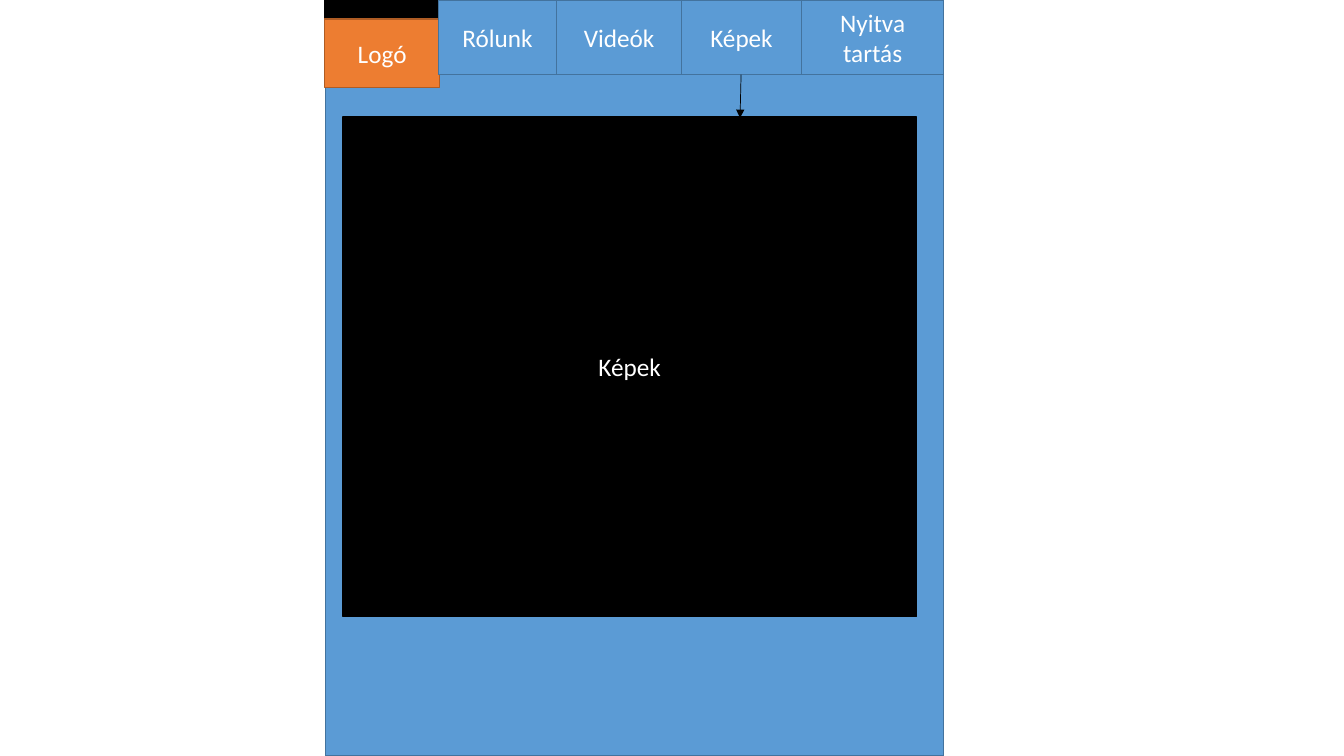
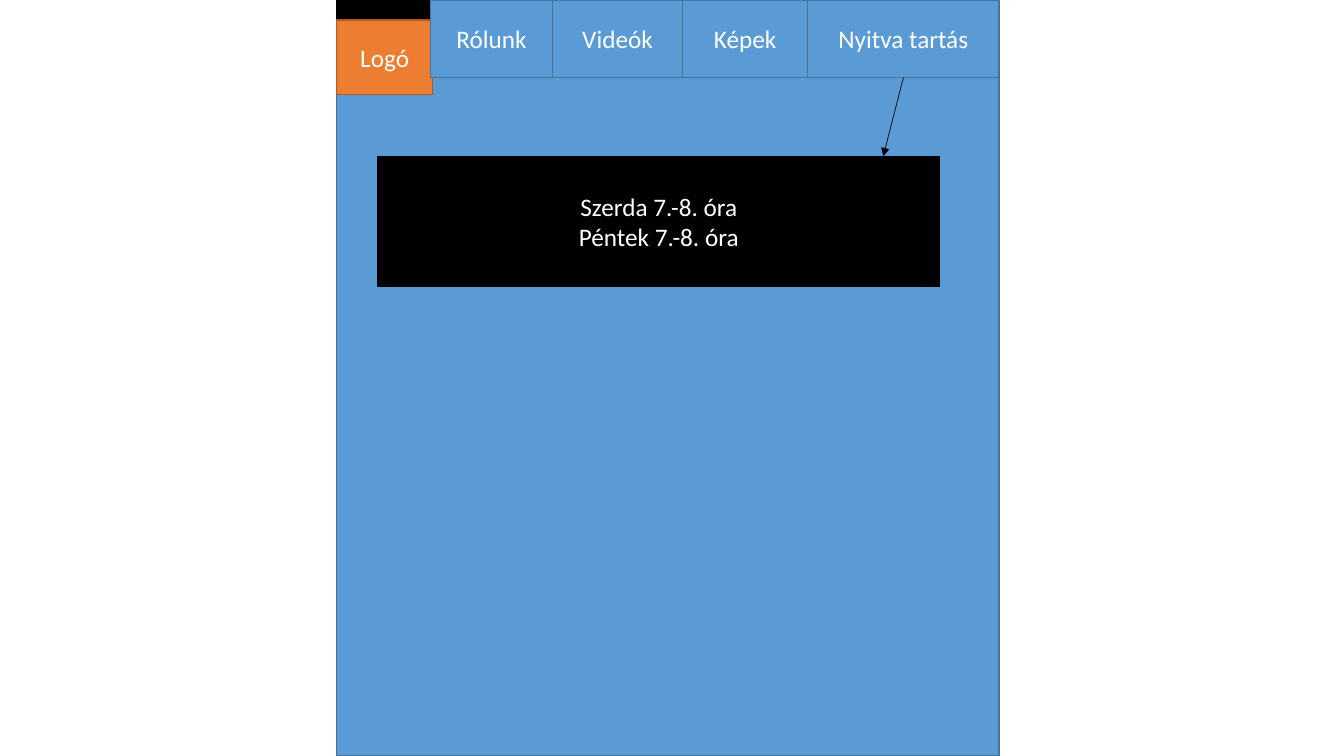
from dataclasses import dataclass
from itertools import pairwise

import pptx
import pptx.dml.color
import pptx.enum.shapes
import pptx.enum.text
import pptx.oxml.ns
import pptx.presentation
import pptx.shapes.base
import pptx.slide
import pptx.util
from lxml import etree

BLUE = "5B9BD5"
BLUE_EDGE = "43739E"
ORANGE = "ED7D31"
ORANGE_EDGE = "AF5C24"
BLACK = "000000"
WHITE = "FFFFFF"
FONT = "Calibri"
MENU_LABELS = ("Rólunk", "Videók", "Képek", "Nyitva tartás")


@dataclass(frozen=True)
class Box:
    left: float
    top: float
    width: float
    height: float


@dataclass(frozen=True)
class Arrow:
    start: tuple[float, float]
    end: tuple[float, float]


@dataclass(frozen=True)
class Page:
    body: Box
    header: Box
    logo: Box
    menu_edges: tuple[float, ...]
    content: Box
    content_text: str
    arrow: Arrow


PAGES = (
    Page(
        body=Box(3.23, 0, 6.13, 7.5),
        header=Box(3.22, 0, 6.14, 0.74),
        logo=Box(3.22, 0.19, 1.14, 0.68),
        menu_edges=(4.35, 5.52, 6.76, 7.95, 9.36),
        content=Box(3.4, 1.16, 5.69, 4.96),
        content_text="Képek",
        arrow=Arrow((7.35, 0.74), (7.34, 1.17)),
    ),
    Page(
        body=Box(3.34, 0, 6.57, 7.5),
        header=Box(3.34, 0, 6.57, 0.77),
        logo=Box(3.34, 0.2, 0.95, 0.74),
        menu_edges=(4.27, 5.48, 6.77, 8.01, 9.91),
        content=Box(3.75, 1.55, 5.57, 1.29),
        content_text="Szerda 7.-8. óra\nPéntek 7.-8. óra",
        arrow=Arrow((8.96, 0.77), (8.76, 1.55)),
    ),
)


def color(value: str) -> pptx.dml.color.RGBColor:
    return pptx.dml.color.RGBColor.from_string(value)


def draw_box(slide: pptx.slide.Slide, box: Box, fill: str, edge: str, text: str = "") -> None:
    shape = slide.shapes.add_shape(
        pptx.enum.shapes.MSO_SHAPE.RECTANGLE,
        pptx.util.Inches(box.left),
        pptx.util.Inches(box.top),
        pptx.util.Inches(box.width),
        pptx.util.Inches(box.height),
    )
    shape.shadow.inherit = False
    shape.fill.solid()
    shape.fill.fore_color.rgb = color(fill)
    shape.line.color.rgb = color(edge)
    shape.line.width = pptx.util.Pt(1)
    if not text:
        return
    text_frame = shape.text_frame
    text_frame.text = text
    text_frame.word_wrap = True
    text_frame.vertical_anchor = pptx.enum.text.MSO_ANCHOR.MIDDLE
    for paragraph in text_frame.paragraphs:
        paragraph.alignment = pptx.enum.text.PP_ALIGN.CENTER
        for run in paragraph.runs:
            run.font.name = FONT
            run.font.size = pptx.util.Pt(18)
            run.font.color.rgb = color(WHITE)


def draw_arrow(slide: pptx.slide.Slide, arrow: Arrow) -> None:
    connector = slide.shapes.add_connector(
        pptx.enum.shapes.MSO_CONNECTOR.STRAIGHT,
        *(pptx.util.Inches(length) for length in arrow.start + arrow.end),
    )
    connector.line.color.rgb = color(BLACK)
    connector.line.width = pptx.util.Pt(0.5)
    properties = connector.line._get_or_add_ln()
    etree.SubElement(properties, pptx.oxml.ns.qn("a:tailEnd"), type="triangle")
    etree.SubElement(connector._element.spPr, pptx.oxml.ns.qn("a:effectLst"))


def draw_page(presentation: pptx.presentation.Presentation, page: Page) -> None:
    slide = presentation.slides.add_slide(presentation.slide_layouts[6])
    draw_box(slide, page.body, BLUE, BLUE_EDGE)
    draw_box(slide, page.header, BLACK, BLACK)
    draw_box(slide, page.logo, ORANGE, ORANGE_EDGE, "Logó")
    for label, (left, right) in zip(MENU_LABELS, pairwise(page.menu_edges)):
        button = Box(left, page.header.top, right - left, page.header.height)
        draw_box(slide, button, BLUE, BLUE_EDGE, label)
    draw_box(slide, page.content, BLACK, BLACK, page.content_text)
    draw_arrow(slide, page.arrow)


def main() -> None:
    presentation = pptx.Presentation()
    presentation.slide_width = pptx.util.Inches(13.33)
    presentation.slide_height = pptx.util.Inches(7.5)
    for page in PAGES:
        draw_page(presentation, page)
    presentation.save("out.pptx")


main()
